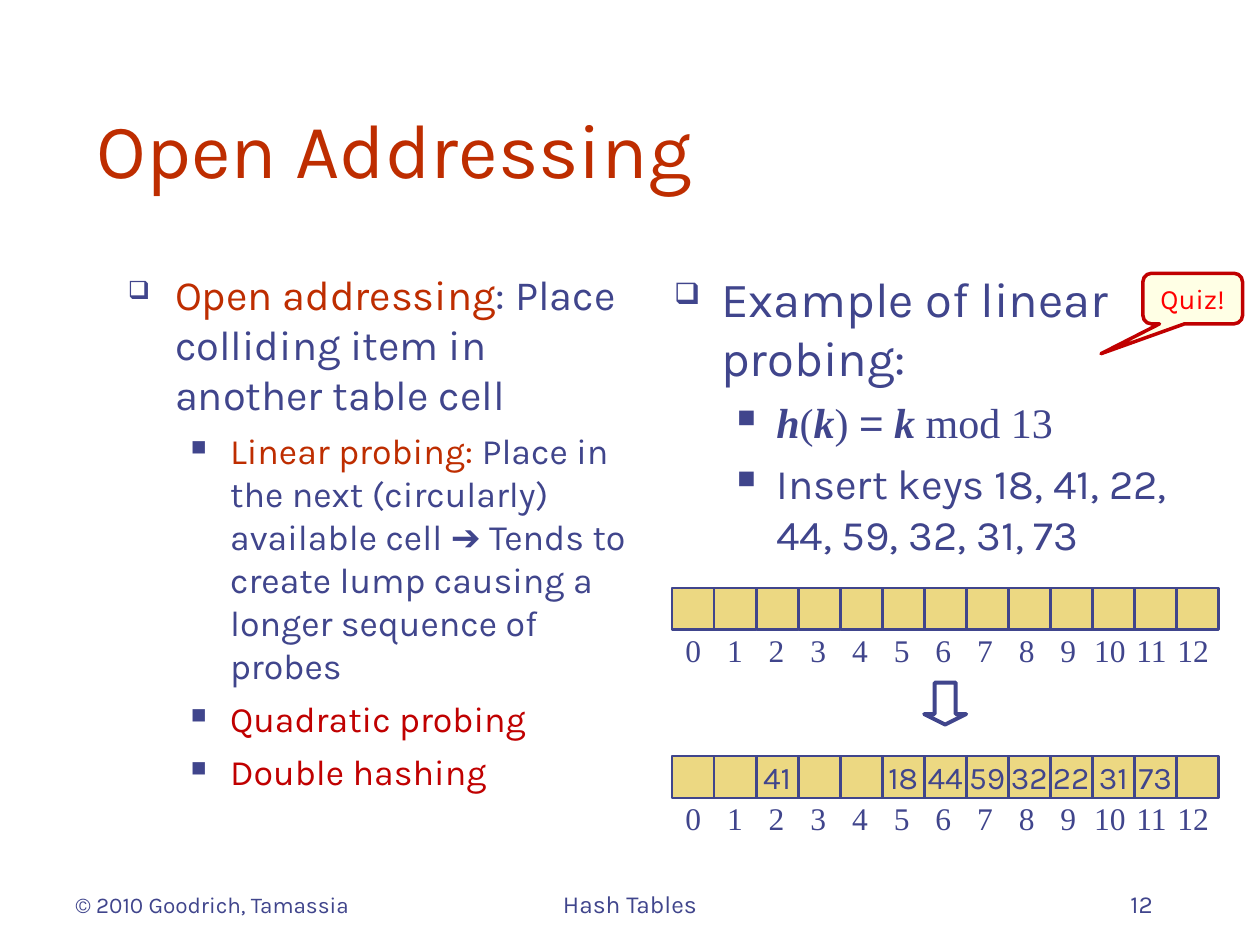
from lxml import etree
from pptx import Presentation
from pptx.dml.color import RGBColor
from pptx.enum.shapes import MSO_SHAPE
from pptx.enum.text import MSO_ANCHOR, PP_ALIGN
from pptx.oxml.ns import qn
from pptx.util import Cm, Pt

RECT = MSO_SHAPE.RECTANGLE
DOWN_ARROW = MSO_SHAPE.DOWN_ARROW
CALLOUT = MSO_SHAPE.ROUNDED_RECTANGULAR_CALLOUT
TOP, MIDDLE, BOTTOM = MSO_ANCHOR.TOP, MSO_ANCHOR.MIDDLE, MSO_ANCHOR.BOTTOM
LEFT, CENTER, RIGHT = PP_ALIGN.LEFT, PP_ALIGN.CENTER, PP_ALIGN.RIGHT

KARLA, TIMES, ARIAL = "Karla", "Times New Roman", "Arial"
INK, RUST, RED = "40458C", "BE2D00", "C00000"
SAND, CREAM, BRIGHT_RED = "ECD882", "FFFFCC", "FF0000"

# Bullet levels: character, left margin, hanging indent (cm), space before (pt)
LEVELS = [("❑", 0.95, -0.95, 7), ("■", 2.06, -0.79, 6)]

SLOTS = 13
TABLE_LEFT, CELL, LABEL_STEP = 13.55, 11.01 / SLOTS, 0.84
KEYS = {2: 41, 5: 18, 6: 44, 7: 59, 8: 32, 9: 22, 10: 31, 11: 73}


def color(hex_code):
    return RGBColor.from_string(hex_code)


def add_run(p, text, size=18, font=KARLA, fill=INK, bold=False, italic=False):
    r = p.add_run()
    r.text = text
    r.font.size = Pt(size)
    r.font.name = font
    r.font.bold = bold
    r.font.italic = italic
    r.font.color.rgb = color(fill)


def put_text(sp, text, align=LEFT, anchor=TOP, wrap=True, **fmt):
    tf = sp.text_frame
    tf.word_wrap = wrap
    tf.vertical_anchor = anchor
    p = tf.paragraphs[0]
    p.alignment = align
    add_run(p, text, **fmt)


def add_text(slide, box, text, **fmt):
    sp = slide.shapes.add_textbox(*map(Cm, box))
    put_text(sp, text, **fmt)


def add_shape(slide, kind, box, line, width, fill=None):
    sp = slide.shapes.add_shape(kind, *map(Cm, box))
    sp.shadow.inherit = False
    if fill:
        sp.fill.solid()
        sp.fill.fore_color.rgb = color(fill)
    else:
        sp.fill.background()
    sp.line.color.rgb = color(line)
    sp.line.width = Pt(width)
    return sp


def set_bullet(p, level):
    char, margin, indent, _ = LEVELS[level]
    pPr = p._p.get_or_add_pPr()
    pPr.set("marL", str(Cm(margin)))
    pPr.set("indent", str(Cm(indent)))
    bullet_color = etree.SubElement(pPr, qn("a:buClr"))
    etree.SubElement(bullet_color, qn("a:srgbClr"), val=INK)
    etree.SubElement(pPr, qn("a:buSzPct"), val="60000")
    etree.SubElement(pPr, qn("a:buChar"), char=char)


def add_bullets(slide, box, items):
    """Each item is (level, size, runs); each run is (text, format)."""
    tf = slide.shapes.add_textbox(*map(Cm, box)).text_frame
    tf.word_wrap = True
    for i, (level, size, runs) in enumerate(items):
        p = tf.add_paragraph() if i else tf.paragraphs[0]
        p.level = level
        set_bullet(p, level)
        if i:
            p.space_before = Pt(LEVELS[level][3])
        for text, fmt in runs:
            add_run(p, text, size=size, **fmt)


def add_hash_table(slide, top, keys):
    for i in range(SLOTS):
        cell = add_shape(slide, RECT, (TABLE_LEFT + i * CELL, top, CELL, CELL),
                         INK, 1.5, SAND)
        if i in keys:
            put_text(cell, str(keys[i]), align=CENTER, anchor=MIDDLE, wrap=False)
    # Slot numbers under the cells
    for i in range(SLOTS):
        width = 0.81 if i < 10 else 1.14
        center = TABLE_LEFT + CELL / 2 + i * LABEL_STEP
        add_text(slide, (center - width / 2, top + 0.74, width, 1.02), str(i),
                 align=CENTER, wrap=False, font=TIMES)


def add_quiz_callout(slide):
    sp = add_shape(slide, CALLOUT, (23.04, 5.51, 2.01, 1.02), RED, 2, CREAM)
    for i, value in enumerate((-0.92, 1.09, 0.17)):
        sp.adjustments[i] = value
    fill = sp._element.spPr.find(qn("a:solidFill"))
    etree.SubElement(fill[0], qn("a:alpha"), val="50000")
    put_text(sp, "Quiz!", align=CENTER, anchor=MIDDLE, wrap=False,
             size=16, fill=BRIGHT_RED)


def main():
    prs = Presentation()
    prs.slide_width, prs.slide_height = Cm(25.4), Cm(19.05)
    slide = prs.slides.add_slide(prs.slide_layouts[6])

    # Title
    add_text(slide, (1.7, 0.85, 22.22, 3.18), "Open Addressing",
             anchor=BOTTOM, size=44, fill=RUST)

    # Left column: collision strategies
    add_bullets(slide, (2.33, 5.29, 10.58, 11.43), [
        (0, 23.8, [("Open addressing", {"fill": RUST}),
                   (": Place colliding item in another table cell", {})]),
        (1, 20.4, [("Linear probing:", {"fill": RUST}),
                   (" Place in the next (circularly) available cell ", {}),
                   ("➔", {"font": ARIAL}),
                   (" Tends to create lump causing a longer sequence of probes", {})]),
        (1, 20.4, [("Quadratic probing", {"fill": RED})]),
        (1, 20.4, [("Double hashing", {"fill": RED})]),
    ])

    # Right column: worked example
    math = {"font": TIMES}
    symbol = {"font": TIMES, "bold": True, "italic": True}
    add_bullets(slide, (13.34, 5.29, 11.22, 11.43), [
        (0, 28, [("Example of linear probing:", {})]),
        (1, 24, [("h", symbol), ("(", math), ("k", symbol), (") ", math),
                 ("=", {"font": ARIAL}), (" k ", symbol), ("mod 13", math)]),
        (1, 24, [("Insert keys 18, 41, 22, 44, 59, 32, 31, 73", {})]),
    ])

    # Footer
    add_text(slide, (1.27, 17.36, 6.77, 1.27), "© 2010 Goodrich, Tamassia",
             anchor=BOTTOM, size=12.9)
    add_text(slide, (8.68, 17.36, 8.04, 1.27), "Hash Tables",
             align=CENTER, anchor=BOTTOM, size=14)
    add_text(slide, (18.2, 17.36, 5.29, 1.27), "12",
             align=RIGHT, anchor=BOTTOM, size=14)

    # Table before and after the insertions
    add_hash_table(slide, 11.85, {})
    add_hash_table(slide, 15.24, KEYS)
    arrow = add_shape(slide, DOWN_ARROW, (18.63, 13.76, CELL, CELL), INK, 2.25)
    arrow.adjustments[0], arrow.adjustments[1] = 0.5, 0.25

    add_quiz_callout(slide)
    prs.save("out.pptx")


if __name__ == "__main__":
    main()
